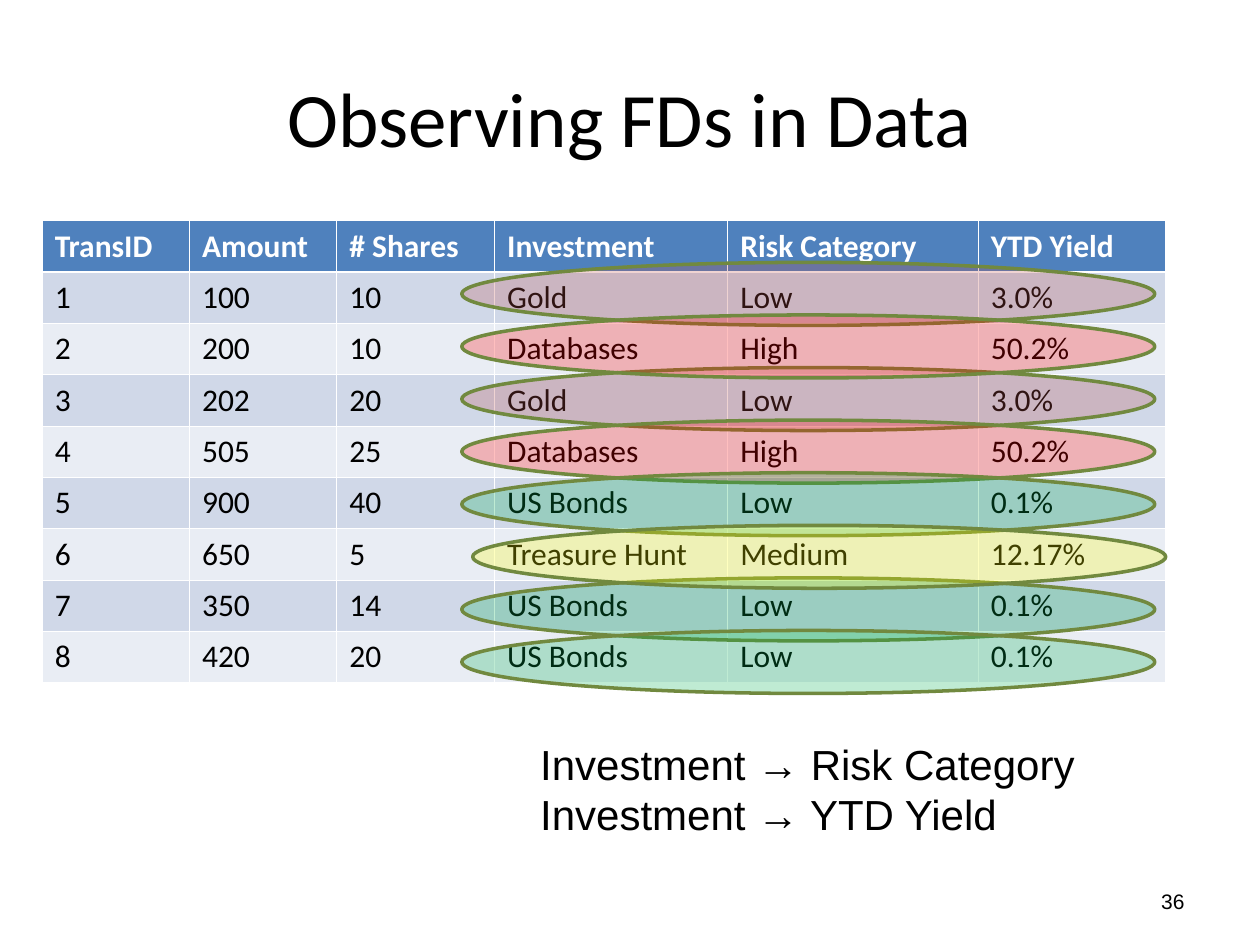
from lxml import etree
from pptx import Presentation
from pptx.dml.color import RGBColor
from pptx.enum.shapes import MSO_SHAPE
from pptx.enum.text import MSO_ANCHOR, PP_ALIGN
from pptx.oxml.ns import qn
from pptx.util import Cm, Pt

OVAL = MSO_SHAPE.OVAL
MIDDLE = MSO_ANCHOR.MIDDLE
LEFT, CENTER, RIGHT = PP_ALIGN.LEFT, PP_ALIGN.CENTER, PP_ALIGN.RIGHT


def color(code):
    return RGBColor.from_string(code)


def write(frame, lines, size, name, align=LEFT, ink="000000", bold=False):
    frame.word_wrap = True
    frame.text = "\n".join(lines)
    for para in frame.paragraphs:
        para.alignment = align
        font = para.font
        font.size, font.name, font.bold = Pt(size), name, bold
        font.color.rgb = color(ink)


prs = Presentation()
prs.slide_width, prs.slide_height = Cm(25.4), Cm(19.05)
slide = prs.slides.add_slide(prs.slide_layouts[6])
shapes = slide.shapes

# Title
title = shapes.add_textbox(Cm(1.27), Cm(0.76), Cm(22.86), Cm(3.18)).text_frame
write(title, ["Observing FDs in Data"], 44, "Calibri", CENTER)
title.vertical_anchor = MIDDLE

# Transaction table
rows = [
    ("TransID", "Amount", "# Shares", "Investment", "Risk Category", "YTD Yield"),
    ("1", "100", "10", "Gold", "Low", "3.0%"),
    ("2", "200", "10", "Databases", "High", "50.2%"),
    ("3", "202", "20", "Gold", "Low", "3.0%"),
    ("4", "505", "25", "Databases", "High", "50.2%"),
    ("5", "900", "40", "US Bonds", "Low", "0.1%"),
    ("6", "650", "5", "Treasure Hunt", "Medium", "12.17%"),
    ("7", "350", "14", "US Bonds", "Low", "0.1%"),
    ("8", "420", "20", "US Bonds", "Low", "0.1%"),
]
widths = [2.97, 2.97, 3.18, 4.7, 5.05, 3.78]
table = shapes.add_table(len(rows), len(widths), Cm(0.85), Cm(4.45),
                         Cm(sum(widths)), Cm(9.32)).table
for col, width in zip(table.columns, widths):
    col.width = Cm(width)

for r, row in enumerate(rows):
    head = r == 0
    back = "4F81BD" if head else ("E9EDF4", "D0D8E8")[r % 2]
    ink = "FFFFFF" if head else "000000"
    # The rule between header and body is thicker
    edges = {"L": 0.45, "R": 0.45, "T": 1.47 if r == 1 else 0.45,
             "B": 1.47 if head else 0.45}
    for c, text in enumerate(row):
        cell = table.cell(r, c)
        write(cell.text_frame, [text], 18, "Calibri", LEFT, ink, head)
        props = cell._tc.get_or_add_tcPr()
        for side, weight in edges.items():
            line = etree.SubElement(props, qn("a:ln" + side), w=str(Pt(weight)))
            fill = etree.SubElement(line, qn("a:solidFill"))
            etree.SubElement(fill, qn("a:srgbClr"), val="FFFFFF")
        cell.fill.solid()
        cell.fill.fore_color.rgb = color(back)

# Translucent ovals group the rows with the same investment
groups = [
    ("C0504D", 9.31, (1, 3)),
    ("FF0000", 9.31, (2, 4)),
    ("00B050", 9.31, (5, 7, 8)),
    ("FFFF00", 9.53, (6,)),
]
for tint, left, marks in groups:
    for mark in marks:
        top = 5.29 + 1.06 * (mark - 1)
        oval = shapes.add_shape(OVAL, Cm(left), Cm(top), Cm(13.97), Cm(1.27))
        oval.shadow.inherit = False
        oval.fill.solid()
        oval.fill.fore_color.rgb = color(tint)
        shade = oval.fill._xPr.find(".//" + qn("a:srgbClr"))
        etree.SubElement(shade, qn("a:alpha"), val="25000")
        oval.line.color.rgb = color("71893F")
        oval.line.width = Pt(2)

# Dependencies found
found = shapes.add_textbox(Cm(10.64), Cm(14.76), Cm(11.71), Cm(2.29)).text_frame
write(found, ["Investment → Risk Category", "Investment → YTD Yield"], 24, "Arial")

# Page number
page = shapes.add_textbox(Cm(18.2), Cm(17.65), Cm(5.93), Cm(1.02)).text_frame
write(page, ["36"], 12, "Arial", RIGHT)
page.vertical_anchor = MIDDLE

prs.save("out.pptx")
